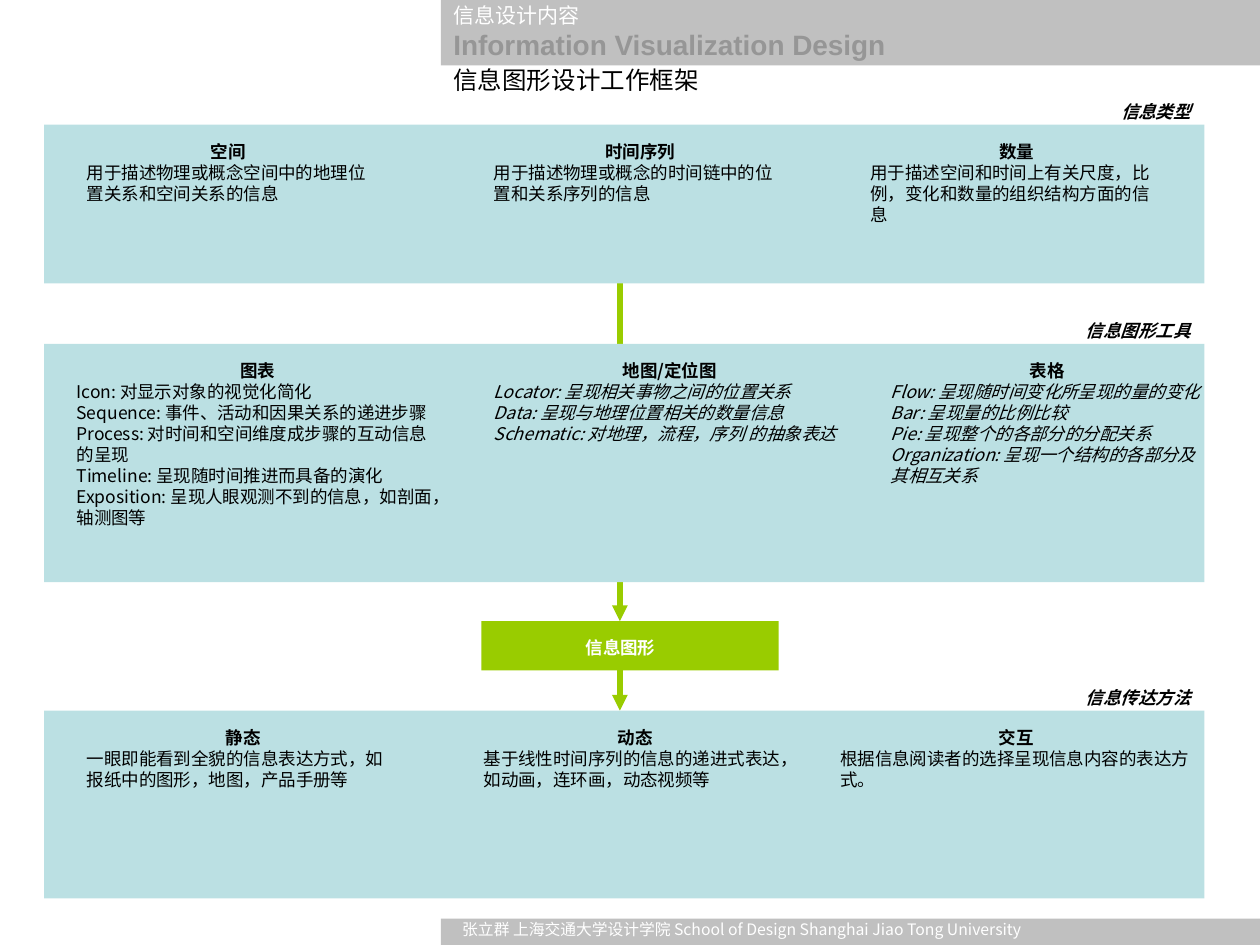
from pptx import Presentation
from pptx.dml.color import RGBColor
from pptx.enum.shapes import MSO_CONNECTOR, MSO_SHAPE
from pptx.enum.text import MSO_AUTO_SIZE, PP_ALIGN
from pptx.oxml.ns import qn
from pptx.util import Pt
from lxml.etree import SubElement

SCALE = 9144  # EMU per px, 100 px to the inch
SANS = "Noto Sans CJK SC"
BLACK = RGBColor(0x00, 0x00, 0x00)
WHITE = RGBColor(0xFF, 0xFF, 0xFF)
SILVER = RGBColor(0xC0, 0xC0, 0xC0)
GREY = RGBColor(0x96, 0x96, 0x96)
GREEN = RGBColor(0x99, 0xCC, 0x00)
AQUA = RGBColor(0xBB, 0xE0, 0xE3)


class Board:
    def __init__(self, deck, font):
        self.slide = deck.slides.add_slide(deck.slide_layouts[6])
        self.font = font

    def rect(self, x, y, w, h, fill):
        box = self.slide.shapes.add_shape(
            MSO_SHAPE.RECTANGLE, *(n * SCALE for n in (x, y, w, h)))
        box.shadow.inherit = False
        box.fill.solid()
        box.fill.fore_color.rgb = fill
        box.line.fill.background()

    def arrow(self, x, top, end):
        line = self.slide.shapes.add_connector(
            MSO_CONNECTOR.STRAIGHT, *(n * SCALE for n in (x, top, x, end)))
        line.line.color.rgb = GREEN
        line.line.width = Pt(3)
        SubElement(line.line._get_or_add_ln(), qn("a:tailEnd"), type="triangle")
        SubElement(line._element.spPr, qn("a:effectLst"))

    def text(self, x, y, w, h, wrap=False):
        box = self.slide.shapes.add_textbox(*(n * SCALE for n in (x, y, w, h)))
        frame = box.text_frame
        frame.word_wrap = wrap
        frame.auto_size = MSO_AUTO_SIZE.SHAPE_TO_FIT_TEXT
        return frame

    def run(self, para, words, size=10, color=BLACK, bold=False, italic=False,
            font=None):
        run = para.add_run()
        run.text = words
        style = run.font
        style.name = font or self.font
        style.size = Pt(size)
        style.color.rgb = color
        style.bold = bold
        style.italic = italic
        SubElement(style._element, qn("a:ea"), typeface=self.font)

    def label(self, x, y, w, words, h=27, **style):
        self.run(self.text(x, y, w, h).paragraphs[0], words, **style)

    def column(self, x, y, w, h, head, lines, italic=False):
        """Centred bold head over left-aligned lines."""
        frame = self.text(x, y, w, h, wrap=True)
        first = frame.paragraphs[0]
        first.alignment = PP_ALIGN.CENTER
        self.run(first, head, bold=True)
        for line in lines:
            self.run(frame.add_paragraph(), line, italic=italic)


# top, height, label left, label, columns (left, width, height, head, lines, italic)
BANDS = [
    (564, 149, 852, "信息传达方法", [
        (59, 268, 61, "静态",
         ["一眼即能看到全貌的信息表达方式，如报纸中的图形，地图，产品手册等"], False),
        (374, 260, 61, "动态",
         ["基于线性时间序列的信息的递进式表达，如动画，连环画，动态视频等"], False),
        (657, 299, 61, "交互",
         ["根据信息阅读者的选择呈现信息内容的表达方式。"], False)]),
    (273, 189, 852, "信息图形工具", [
        (51, 307, 145, "图表",
         ["Icon: 对显示对象的视觉化简化",
          "Sequence: 事件、活动和因果关系的递进步骤",
          "Process: 对时间和空间维度成步骤的互动信息的呈现",
          "Timeline: 呈现随时间推进而具备的演化",
          "Exposition: 呈现人眼观测不到的信息，如剖面，轴测图等"], False),
        (382, 299, 77, "地图/定位图",
         ["Locator: 呈现相关事物之间的位置关系",
          "Data: 呈现与地理位置相关的数量信息",
          "Schematic: 对地理，流程，序列 的抽象表达"], True),
        (697, 268, 111, "表格",
         ["Flow: 呈现随时间变化所呈现的量的变化",
          "Bar: 呈现量的比例比较",
          "Pie: 呈现整个的各部分的分配关系",
          "Organization: 呈现一个结构的各部分及其相互关系"], True)]),
    (99, 126, 880, "信息类型", [
        (59, 244, 61, "空间",
         ["用于描述物理或概念空间中的地理位置关系和空间关系的信息"], False),
        (382, 252, 61, "时间序列",
         ["用于描述物理或概念的时间链中的位置和关系序列的信息"], False),
        (681, 252, 77, "数量",
         ["用于描述空间和时间上有关尺度，比例，变化和数量的组织结构方面的信息"],
         False)]),
]


def main():
    deck = Presentation()
    deck.slide_width = 1000 * SCALE
    deck.slide_height = 750 * SCALE
    board = Board(deck, SANS)

    board.rect(350, 0, 650, 52, SILVER)
    head = board.text(350, -3, 368, 57)
    board.run(head.paragraphs[0], "信息设计内容", 12, WHITE, font="Arial")
    board.run(head.add_paragraph(), "Information Visualization Design", 16, GREY,
              bold=True, font="Arial")
    board.rect(350, 729, 650, 21, SILVER)
    foot = board.text(357, 725, 615, 52, wrap=True)
    board.run(foot.paragraphs[0], "张立群 上海交通大学设计学院 School of Design "
              "Shanghai Jiao Tong University", 9, WHITE)

    board.arrow(492, 218, 493)
    board.arrow(492, 501, 564)
    board.rect(382, 493, 236, 39, GREEN)
    for top, high, *_ in BANDS:
        board.rect(35, top, 921, high, AQUA)

    board.label(350, 47, 216, "信息图形设计工作框架", h=34, size=14)
    board.label(455, 501, 76, "信息图形", color=WHITE, bold=True)
    for top, _, left, name, columns in BANDS:
        board.label(left, top - 24, 956 - left, name, bold=True, italic=True)
        for x, w, h, title, lines, italic in columns:
            board.column(x, top + 8, w, h, title, lines, italic)

    deck.save("out.pptx")


if __name__ == "__main__":
    main()
